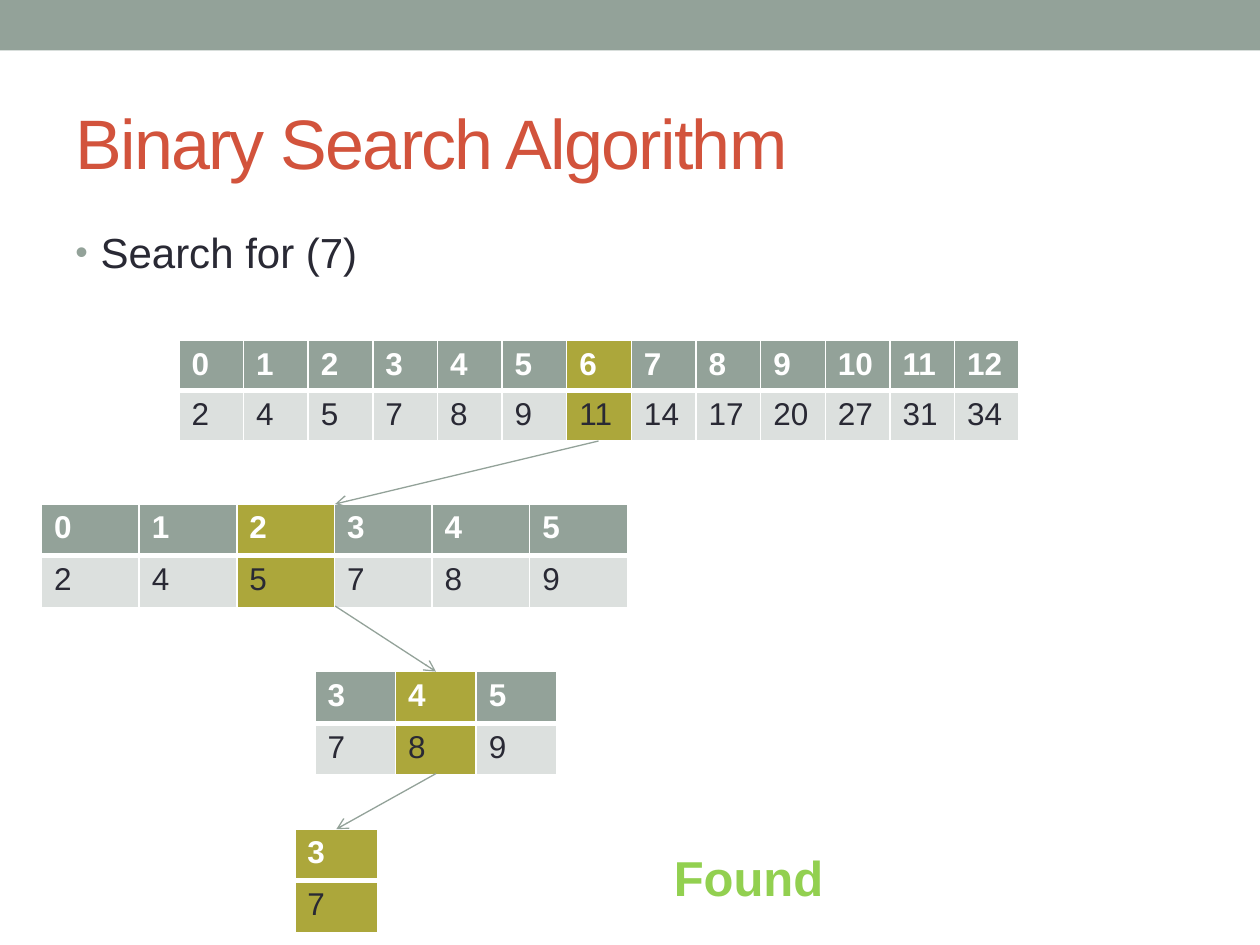
from lxml import etree
from pptx import Presentation
from pptx.dml.color import RGBColor
from pptx.enum.shapes import MSO_CONNECTOR, MSO_SHAPE
from pptx.enum.text import MSO_ANCHOR
from pptx.oxml.ns import qn
from pptx.util import Inches, Pt

RECTANGLE = MSO_SHAPE.RECTANGLE
STRAIGHT = MSO_CONNECTOR.STRAIGHT
TOP, MIDDLE = MSO_ANCHOR.TOP, MSO_ANCHOR.MIDDLE

SAGE = RGBColor(0x93, 0xA2, 0x99)
OLIVE = RGBColor(0xAC, 0xA7, 0x3B)
PALE = RGBColor(0xDC, 0xE0, 0xDE)
RED = RGBColor(0xD2, 0x53, 0x3C)
DARK = RGBColor(0x29, 0x29, 0x34)
GREEN = RGBColor(0x92, 0xD0, 0x50)
WHITE = RGBColor(0xFF, 0xFF, 0xFF)
FONT = "Arial"

VALUES = [2, 4, 5, 7, 8, 9, 11, 14, 17, 20, 27, 31, 34]

# Each step: first index, last index, middle index, left, top, width, row height
STEPS = [
    (0, 12, 6, 1.42, 2.7, 6.67, 0.32),
    (0, 5, 2, 0.33, 4, 4.65, 0.41),
    (3, 5, 4, 2.5, 5.33, 1.92, 0.41),
    (3, 3, 3, 2.34, 6.58, 0.66, 0.41),
]

# Arrows from the middle element to the next step
ARROWS = [
    ((4.75, 3.5), (2.66, 4)),
    ((2.66, 4.81), (3.46, 5.33)),
    ((3.46, 6.14), (2.67, 6.58)),
]


def style_font(paragraph, size, color, bold=False):
    font = paragraph.font
    font.name, font.size, font.bold = FONT, Pt(size), bold
    font.color.rgb = color


def add_text(slide, text, box, size, color, bold=False, anchor=TOP):
    shape = slide.shapes.add_textbox(*map(Inches, box))
    frame = shape.text_frame
    frame.word_wrap = True
    frame.vertical_anchor = anchor
    paragraph = frame.paragraphs[0]
    paragraph.text = text
    style_font(paragraph, size, color, bold)
    return paragraph


def tighten(paragraph, points):
    character_defaults = paragraph._p.pPr.find(qn("a:defRPr"))
    character_defaults.set("spc", str(round(points * 100)))


def add_bullet(paragraph, indent):
    paragraph.space_before = Pt(4.8)
    properties = paragraph._p.pPr
    properties.set("marL", str(Inches(indent)))
    properties.set("indent", str(-Inches(indent)))
    color = etree.Element(qn("a:buClr"))
    etree.SubElement(color, qn("a:srgbClr"), val=str(SAGE))
    size = etree.Element(qn("a:buSzPct"), val="85000")
    typeface = etree.Element(qn("a:buFont"), typeface=FONT)
    character = etree.Element(qn("a:buChar"), char="•")
    character_defaults = properties.find(qn("a:defRPr"))
    for element in (color, size, typeface, character):
        character_defaults.addprevious(element)


def set_borders(cell, top, bottom):
    properties = cell._tc.get_or_add_tcPr()
    widths = {"a:lnL": 1, "a:lnR": 1, "a:lnT": top, "a:lnB": bottom}
    for position, (tag, width) in enumerate(widths.items()):
        line = etree.Element(qn(tag), w=str(Pt(width)))
        fill = etree.SubElement(line, qn("a:solidFill"))
        etree.SubElement(fill, qn("a:srgbClr"), val=str(WHITE))
        properties.insert(position, line)


def fill_cell(cell, text, fill, color, bold):
    cell.fill.solid()
    cell.fill.fore_color.rgb = fill
    paragraph = cell.text_frame.paragraphs[0]
    paragraph.text = str(text)
    style_font(paragraph, 18, color, bold)


def add_step(slide, first, last, middle, left, top, width, row_height):
    count = last - first + 1
    box = (left, top, width, 2 * row_height)
    table = slide.shapes.add_table(2, count, *map(Inches, box)).table
    for column, index in enumerate(range(first, last + 1)):
        table.columns[column].width = Inches(width / count)
        header, body = table.cell(0, column), table.cell(1, column)
        is_middle = index == middle
        fill_cell(header, index, OLIVE if is_middle else SAGE, WHITE, True)
        fill_cell(body, VALUES[index], OLIVE if is_middle else PALE, DARK, False)
        set_borders(header, top=1, bottom=3)
        set_borders(body, top=3, bottom=1)


def add_arrow(slide, start, end):
    connector = slide.shapes.add_connector(STRAIGHT, *map(Inches, start + end))
    connector.line.color.rgb = SAGE
    connector.line.width = Pt(0.75)
    etree.SubElement(connector.line._get_or_add_ln(), qn("a:tailEnd"), type="arrow")
    etree.SubElement(connector._element.spPr, qn("a:effectLst"))


def add_band(slide):
    band = slide.shapes.add_shape(RECTANGLE, 0, 0, Inches(10), Inches(0.4))
    band.shadow.inherit = False
    band.fill.solid()
    band.fill.fore_color.rgb = SAGE
    band.line.fill.background()


def main():
    presentation = Presentation()
    presentation.slide_width = Inches(10)
    presentation.slide_height = Inches(7.5)
    slide = presentation.slides.add_slide(presentation.slide_layouts[6])

    # Heading and task
    add_band(slide)
    title = add_text(slide, "Binary Search Algorithm", (0.5, 0.58, 9, 1.08),
                     40, RED, anchor=MIDDLE)
    tighten(title, -1)
    task = add_text(slide, "Search for (7)", (0.5, 1.75, 9, 5.33), 24, DARK)
    add_bullet(task, 0.2)

    # Search steps
    for step in STEPS:
        add_step(slide, *step)
    for start, end in ARROWS:
        add_arrow(slide, start, end)

    # Result
    add_text(slide, "Found", (5.25, 6.68, 1.42, 0.57), 28, GREEN, bold=True)

    presentation.save("out.pptx")


if __name__ == "__main__":
    main()
